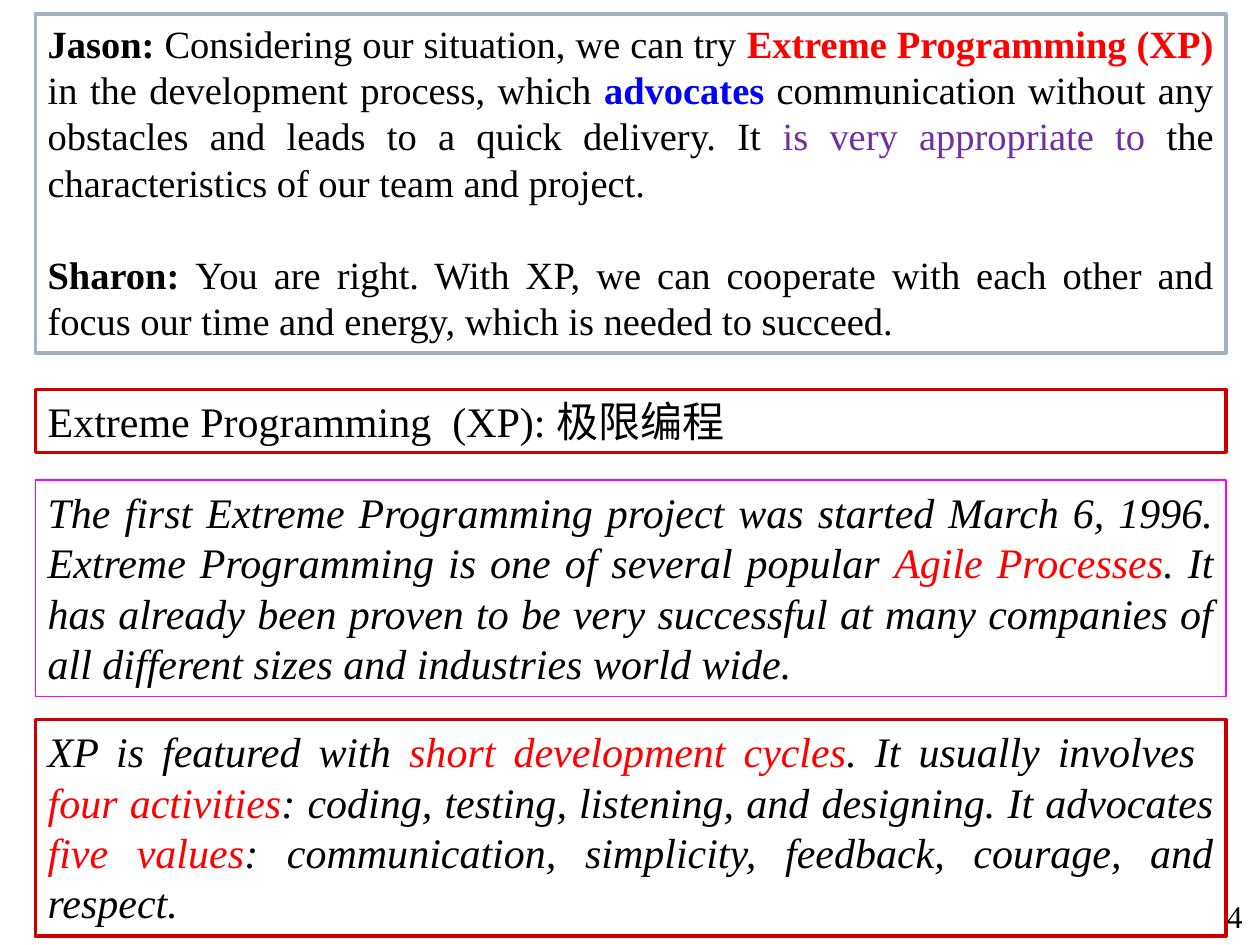
import pptx
import pptx.util
import pptx.dml.color
import pptx.enum.shapes
import pptx.enum.text

Inches = pptx.util.Inches
Pt = pptx.util.Pt
RGBColor = pptx.dml.color.RGBColor
ALIGN = pptx.enum.text.PP_ALIGN
ANCHOR = pptx.enum.text.MSO_ANCHOR

FONT = "Times New Roman"
BLACK = RGBColor(0x00, 0x00, 0x00)
WHITE = RGBColor(0xFF, 0xFF, 0xFF)
RED = RGBColor(0xFF, 0x00, 0x00)
BLUE = RGBColor(0x00, 0x00, 0xFF)
PURPLE = RGBColor(0x70, 0x30, 0xA0)
GREY = RGBColor(0xA3, 0xB2, 0xC1)
CRIMSON = RGBColor(0xCC, 0x00, 0x00)
MAGENTA = RGBColor(0xFF, 0x00, 0xFF)

LEFT, WIDTH = 0.28, 9.45

DIALOGUE = [
    [
        ("Jason: ", BLACK, True),
        ("Considering our situation, we can try ", BLACK, False),
        ("Extreme Programming (XP) ", RED, True),
        ("in the development process, which ", BLACK, False),
        ("advocates", BLUE, True),
        (" communication without any obstacles and leads to a quick delivery. It ", BLACK, False),
        ("is very appropriate to", PURPLE, False),
        (" the characteristics of our team and project.", BLACK, False),
    ],
    [
        ("Sharon: ", BLACK, True),
        ("You are right. With XP, we can cooperate with each other and focus our time "
         "and energy, which is needed to succeed.", BLACK, False),
    ],
]
TERM = [[("Extreme Programming  (XP): 极限编程", BLACK, False)]]
HISTORY = [[
    ("The first Extreme Programming project was started March 6, 1996. "
     "Extreme Programming is one of several popular ", BLACK, False),
    ("Agile Processes", RED, False),
    (". It has already been proven to be very successful at many companies of "
     "all different sizes and industries world wide.", BLACK, False),
]]
FEATURES = [[
    ("XP is featured with ", BLACK, False),
    ("short development cycles", RED, False),
    (". It usually involves  ", BLACK, False),
    ("four activities", RED, False),
    (": coding, testing, listening, and designing. It advocates ", BLACK, False),
    ("five values", RED, False),
    (": communication, simplicity, feedback, courage, and respect. ", BLACK, False),
]]

PANELS = [
    dict(top=0.11, height=2.69, content=DIALOGUE, size=22, italic=False,
         align=ALIGN.JUSTIFY, fill=WHITE, line=GREY, weight=2),
    dict(top=3.09, height=0.5, content=TERM, size=24, italic=False,
         align=ALIGN.LEFT, fill=WHITE, line=CRIMSON, weight=2),
    dict(top=3.81, height=1.72, content=HISTORY, size=24, italic=True,
         align=ALIGN.JUSTIFY, fill=None, line=MAGENTA, weight=0.75),
    dict(top=5.71, height=1.72, content=FEATURES, size=24, italic=True,
         align=ALIGN.JUSTIFY, fill=WHITE, line=CRIMSON, weight=2),
]


def add_span(para, text, size, color, bold=False, italic=False):
    span = para.add_run()
    span.text = text
    span.font.name = FONT
    span.font.size = Pt(size)
    span.font.color.rgb = color
    span.font.bold = bold
    span.font.italic = italic


def add_panel(page, panel):
    box = page.shapes.add_shape(
        pptx.enum.shapes.MSO_SHAPE.RECTANGLE,
        Inches(LEFT), Inches(panel["top"]), Inches(WIDTH), Inches(panel["height"]))
    box.shadow.inherit = False
    if panel["fill"] is None:
        box.fill.background()
    else:
        box.fill.solid()
        box.fill.fore_color.rgb = panel["fill"]
    box.line.color.rgb = panel["line"]
    box.line.width = Pt(panel["weight"])
    frame = box.text_frame
    frame.word_wrap = True
    frame.vertical_anchor = ANCHOR.TOP
    for index, spans in enumerate(panel["content"]):
        para = frame.add_paragraph() if index else frame.paragraphs[0]
        para.alignment = panel["align"]
        if index:
            para.space_before = Pt(panel["size"] * 1.2)
        for text, color, bold in spans:
            add_span(para, text, panel["size"], color, bold, panel["italic"])


def add_page_number(page, number):
    box = page.shapes.add_textbox(Inches(9.37), Inches(6.9), Inches(0.59), Inches(0.57))
    frame = box.text_frame
    frame.word_wrap = True
    frame.vertical_anchor = ANCHOR.BOTTOM
    para = frame.paragraphs[0]
    para.alignment = ALIGN.RIGHT
    add_span(para, number, 18, BLACK)


def main():
    deck = pptx.Presentation()
    deck.slide_width = Inches(10)
    deck.slide_height = Inches(7.5)
    page = deck.slides.add_slide(deck.slide_layouts[6])
    add_page_number(page, "4")
    for panel in PANELS:
        add_panel(page, panel)
    deck.save("out.pptx")


if __name__ == "__main__":
    main()
